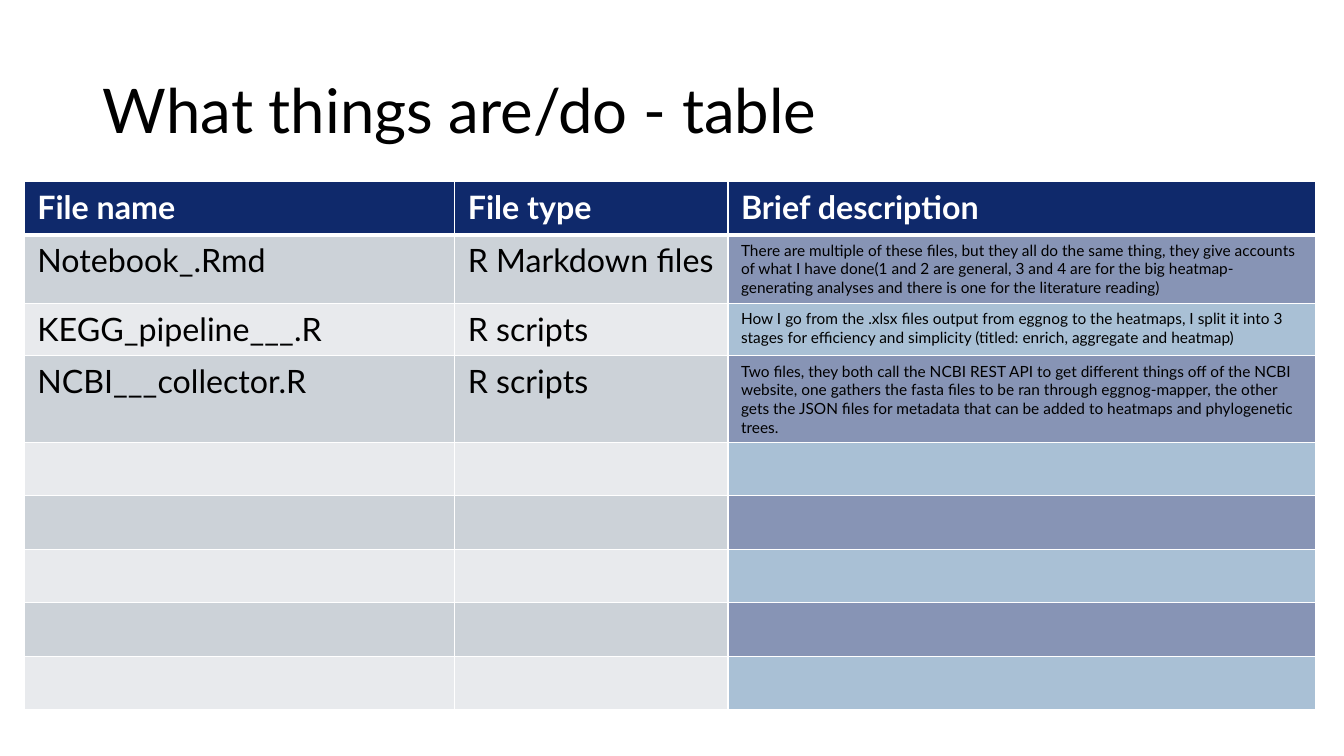
import pptx
import pptx.util
import pptx.dml.color
import pptx.enum.text
import pptx.oxml
import pptx.oxml.ns
from pptx.util import Inches


def color(hex_value):
    return pptx.dml.color.RGBColor.from_string(hex_value)


def add_border(cell, side, points):
    cell._tc.get_or_add_tcPr().append(pptx.oxml.parse_xml(
        f'<a:{side} {pptx.oxml.ns.nsdecls("a")} w="{pptx.util.Pt(points)}">'
        f'<a:solidFill><a:srgbClr val="FFFFFF"/></a:solidFill></a:{side}>'))


presentation = pptx.Presentation()
presentation.slide_width = Inches(13.33)
presentation.slide_height = Inches(7.5)
slide = presentation.slides.add_slide(presentation.slide_layouts[5])

title = slide.shapes.title
title.left, title.top = Inches(0.92), Inches(0.4)
title.width, title.height = Inches(11.5), Inches(1.45)
title.text_frame.text = "What things are/do - table"
title.text_frame.vertical_anchor = pptx.enum.text.MSO_ANCHOR.MIDDLE
paragraph = title.text_frame.paragraphs[0]
paragraph.alignment = pptx.enum.text.PP_ALIGN.LEFT
paragraph.line_spacing = 0.9
paragraph.font.name = "Lato"
paragraph.font.size = pptx.util.Pt(44)
paragraph.font.color.rgb = color("000000")

file_rows = [
    ("File name", "File type", "Brief description"),
    ("Notebook_.Rmd", "R Markdown files",
     "There are multiple of these files, but they all do the same thing, they give accounts of what I have done"
     "(1 and 2 are general, 3 and 4 are for the big heatmap-generating analyses and there is one for the "
     "literature reading)"),
    ("KEGG_pipeline___.R", "R scripts",
     "How I go from the .xlsx files output from eggnog to the heatmaps, I split it into 3 stages for efficiency "
     "and simplicity (titled: enrich, aggregate and heatmap)"),
    ("NCBI___collector.R", "R scripts",
     "Two files, they both call the NCBI REST API to get different things off of the NCBI website, one gathers "
     "the fasta files to be ran through eggnog-mapper, the other gets the JSON files for metadata that can be "
     "added to heatmaps and phylogenetic trees."),
] + [("", "", "")] * 5
column_widths = [4.27, 2.71, 5.83]
row_heights = [0.53, 0.68, 0.52, 0.86] + [0.53] * 5
band_fills = [("E8EAED", "A9C0D5"), ("CCD2D8", "8794B5")]

table = slide.shapes.add_table(
    len(file_rows), len(column_widths), Inches(0.24), Inches(1.8),
    Inches(sum(column_widths)), Inches(sum(row_heights))).table
for column, width in zip(table.columns, column_widths):
    column.width = Inches(width)

for row_index, texts in enumerate(file_rows):
    table.rows[row_index].height = Inches(row_heights[row_index])
    is_header = row_index == 0
    for column_index, text in enumerate(texts):
        is_description = column_index == 2
        cell = table.cell(row_index, column_index)
        cell.margin_left = cell.margin_right = Inches(0.13)
        cell.margin_top = cell.margin_bottom = Inches(0.06)
        for side in ("lnL", "lnR", "lnT", "lnB"):
            thick = (is_header and side == "lnB") or (row_index == 1 and side == "lnT")
            add_border(cell, side, 3 if thick else 1)
        cell.fill.solid()
        cell.fill.fore_color.rgb = color("0F296B" if is_header else band_fills[row_index % 2][is_description])
        cell.text = text
        font = cell.text_frame.paragraphs[0].font
        font.name = "Lato"
        font.size = pptx.util.Pt(11 if is_description and not is_header else 23)
        font.bold = is_header
        font.color.rgb = color("FFFFFF" if is_header else "000000")

presentation.save("out.pptx")
